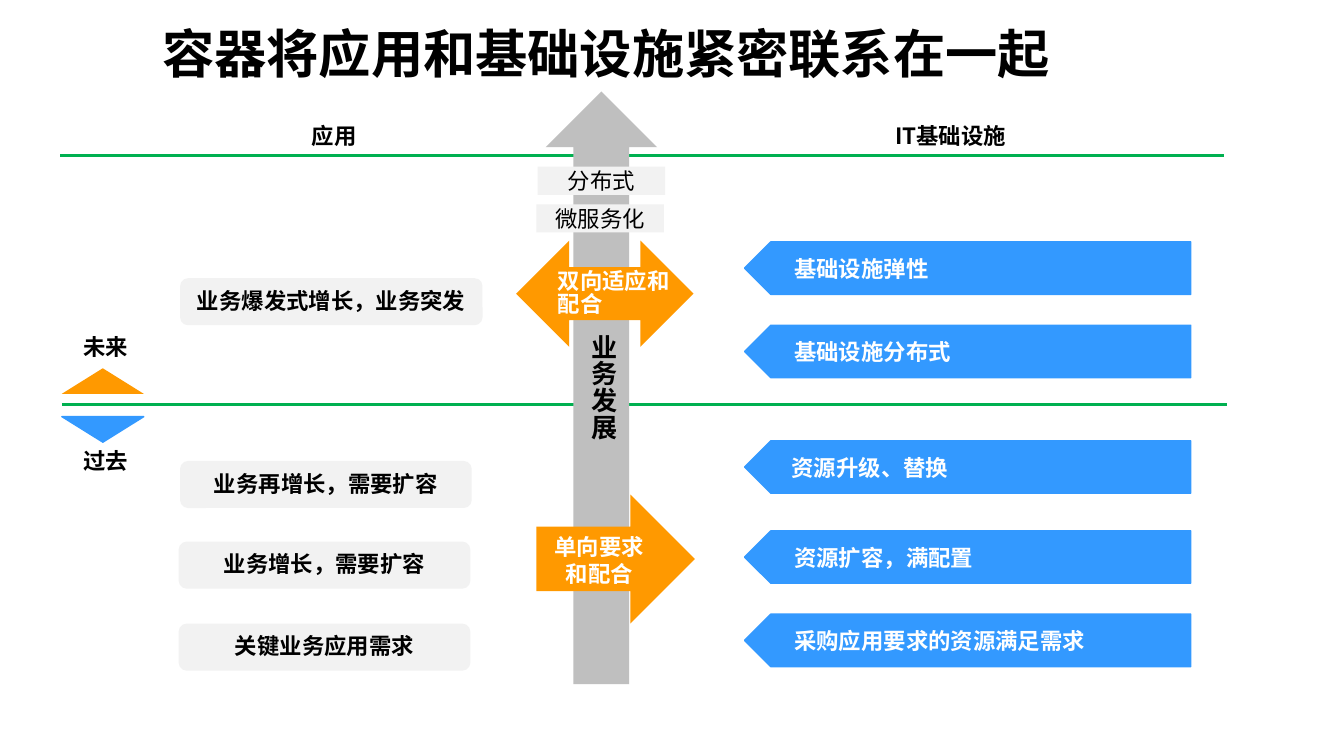
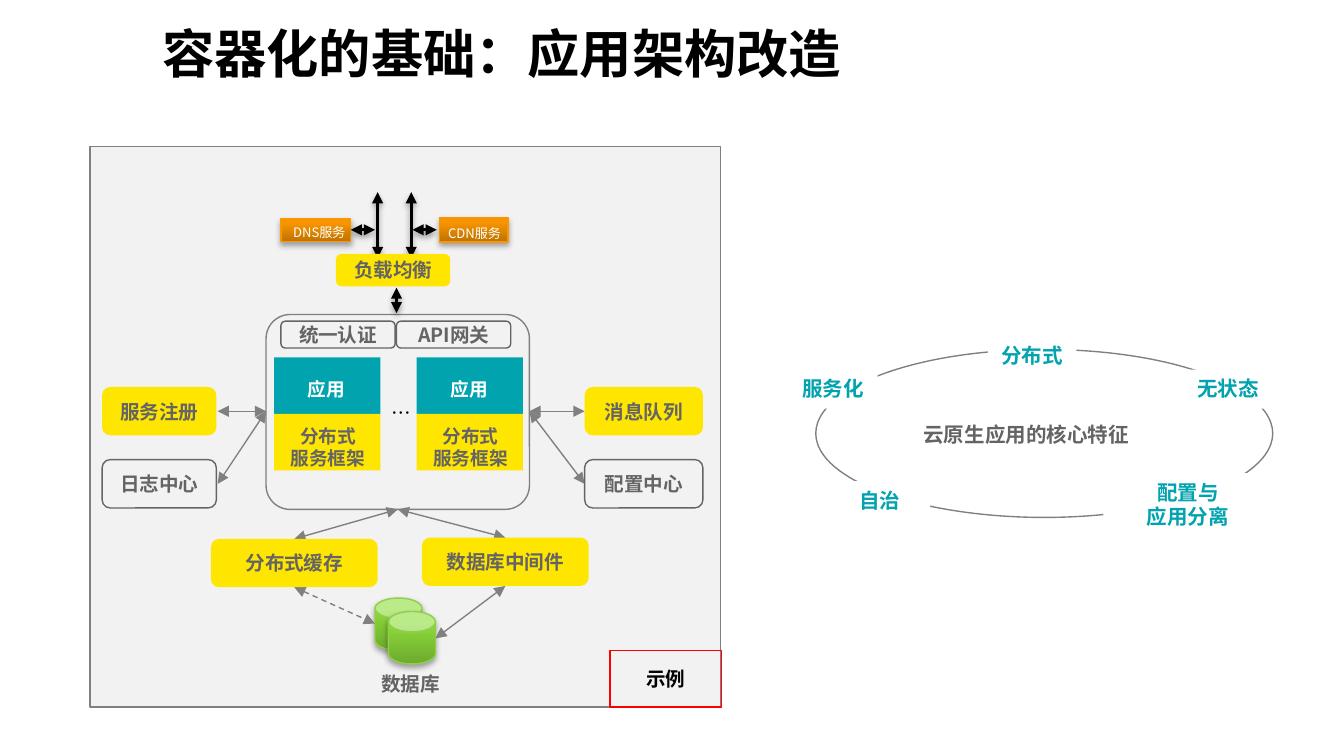
import pptx
import pptx.util
import pptx.dml.color
import pptx.enum.dml
import pptx.enum.shapes
import pptx.enum.text
import pptx.oxml.ns
import lxml.etree

Inches = pptx.util.Inches
Pt = pptx.util.Pt
RGBColor = pptx.dml.color.RGBColor
SHAPE = pptx.enum.shapes.MSO_SHAPE
ALIGN = pptx.enum.text.PP_ALIGN
ANCHOR = pptx.enum.text.MSO_ANCHOR
qn = pptx.oxml.ns.qn

FONT = "Noto Sans CJK SC"
BLACK = RGBColor(0x00, 0x00, 0x00)
WHITE = RGBColor(0xFF, 0xFF, 0xFF)
PALE = RGBColor(0xF2, 0xF2, 0xF2)
SILVER = RGBColor(0xBF, 0xBF, 0xBF)
GRAY = RGBColor(0x80, 0x80, 0x80)
SLATE = RGBColor(0x64, 0x64, 0x64)
GREEN = RGBColor(0x00, 0xB0, 0x50)
ORANGE = RGBColor(0xFF, 0x99, 0x00)
BLUE = RGBColor(0x33, 0x99, 0xFF)
YELLOW = RGBColor(0xFF, 0xE6, 0x00)
TEAL = RGBColor(0x00, 0xA3, 0xAE)
RED = RGBColor(0xFF, 0x00, 0x00)
LIME_EDGE = RGBColor(0x8F, 0xCF, 0x4B)
LIME_RAMP = (RGBColor(0x6D, 0xAA, 0x2D), RGBColor(0x8E, 0xDC, 0x3B))
AMBER_EDGE = RGBColor(0xF9, 0x96, 0x00)
AMBER_RAMP = (RGBColor(0xBE, 0x72, 0x00), RGBColor(0xF7, 0x94, 0x00))


def add_box(slide, at, text="", kind=None, fill=None, ramp=None, line=None, adj=None,
            turn=0, size=12, color=BLACK, bold=True, align=ALIGN.CENTER,
            anchor=ANCHOR.TOP, wrap=True, tight=False):
    """Add a preset shape, or a text box when kind is None; tight means label spacing."""
    place = [Inches(length) for length in at]
    if kind is None:
        box = slide.shapes.add_textbox(*place)
    else:
        box = slide.shapes.add_shape(kind, *place)
        box.shadow.inherit = False
        box.rotation = turn
        if adj is not None:
            box.adjustments[0] = adj
        if ramp:
            box.fill.gradient()
            box.fill.gradient_angle = 90
            for stop, shade, position in zip(box.fill.gradient_stops, ramp, (0, 0.8)):
                stop.color.rgb = shade
                stop.position = position
        elif fill is not None:
            box.fill.solid()
            box.fill.fore_color.rgb = fill
        else:
            box.fill.background()
        if line is not None:
            box.line.color.rgb = line
            box.line.width = Pt(0.75)
        else:
            box.line.fill.background()
    if not text:
        return box

    frame = box.text_frame
    frame.word_wrap = wrap
    frame.vertical_anchor = anchor
    if tight:
        frame.margin_left = frame.margin_right = frame.margin_bottom = 0
        frame.margin_top = Inches(0.04)
    for number, words in enumerate(text.split("\n")):
        paragraph = frame.add_paragraph() if number else frame.paragraphs[0]
        paragraph.alignment = align
        if tight:
            paragraph.line_spacing = 0.85
            paragraph.space_after = Pt(6)
        run = paragraph.add_run()
        run.text = words
        run.font.name = FONT
        run.font.size = Pt(size)
        run.font.bold = bold
        run.font.color.rgb = color
        lxml.etree.SubElement(run.font._element, qn("a:ea"), typeface=FONT)
    return box


def add_line(slide, start, end, color=GRAY, width=0.75, arrows=True, dashed=False):
    """Add a straight line, by default with an arrowhead at both ends."""
    straight = pptx.enum.shapes.MSO_CONNECTOR.STRAIGHT
    connector = slide.shapes.add_connector(
        straight, *[Inches(length) for length in start + end])
    connector.line.color.rgb = color
    connector.line.width = Pt(width)
    if dashed:
        connector.line.dash_style = pptx.enum.dml.MSO_LINE.DASH
    if arrows:
        outline = connector.element.spPr.find(qn("a:ln"))
        for tag in ("a:headEnd", "a:tailEnd"):
            lxml.etree.SubElement(outline, qn(tag), type="triangle")
    lxml.etree.SubElement(connector.element.spPr, qn("a:effectLst"))
    return connector


# Widescreen deck, 16:9
deck = pptx.Presentation()
deck.slide_width = Inches(10)
deck.slide_height = Inches(10) * 9 // 16
growth, architecture = [deck.slides.add_slide(deck.slide_layouts[6]) for _ in range(2)]

# Titles
for slide, title in ((growth, "容器将应用和基础设施紧密联系在一起"),
                     (architecture, "容器化的基础：应用架构改造")):
    add_box(slide, (1.11, 0.15, 7.58, 0.48), title, size=28,
            align=ALIGN.LEFT, anchor=ANCHOR.MIDDLE)

# ---- Slide 1: applications and infrastructure over time ----
add_line(growth, (0.45, 1.16), (9.11, 1.16), GREEN, 1.5, arrows=False)
add_line(growth, (0.46, 3.01), (9.13, 3.01), GREEN, 1.5, arrows=False)
add_box(growth, (2.27, 2.47, 4.41, 0.83), kind=SHAPE.RIGHT_ARROW, fill=SILVER, turn=270)
add_box(growth, (4.4, 2.46, 0.15, 0.84), "业务发展", size=14, align=ALIGN.LEFT, tight=True)

# Column headings
for left, width, heading in ((2.32, 0.46, "应用"), (6.66, 1.04, "IT基础设施")):
    add_box(growth, (left, 0.9, width, 0.21), heading, align=ALIGN.LEFT, tight=True)

# Future and past markers
add_box(growth, (0.46, 2.74, 0.61, 0.19), kind=SHAPE.ISOSCELES_TRIANGLE, fill=ORANGE)
add_box(growth, (0.46, 3.1, 0.61, 0.19), kind=SHAPE.ISOSCELES_TRIANGLE, fill=BLUE,
        line=BLUE, turn=180)
for top, era in ((2.47, "未来"), (3.32, "过去")):
    add_box(growth, (0.57, top, 0.43, 0.21), era, tight=True)

# Application demands
for left, top, width, demand in ((1.34, 2.07, 2.25, "业务爆发式增长，业务突发"),
                                 (1.34, 3.43, 2.17, "业务再增长，需要扩容"),
                                 (1.33, 4.03, 2.17, "业务增长，需要扩容"),
                                 (1.33, 4.64, 2.17, "关键业务应用需求")):
    add_box(growth, (left, top, width, 0.35), demand, kind=SHAPE.ROUNDED_RECTANGLE, fill=PALE)

# Infrastructure answers
for top, left, answer in ((1.8, 5.91, "基础设施弹性"),
                          (2.42, 5.91, "基础设施分布式"),
                          (3.28, 5.89, "资源升级、替换"),
                          (3.95, 5.91, "资源扩容，满配置"),
                          (4.57, 5.91, "采购应用要求的资源满足需求")):
    add_box(growth, (5.54, top, 3.32, 0.39), kind=SHAPE.PENTAGON, fill=BLUE, line=BLUE, turn=180)
    add_box(growth, (left, top + 0.09, 2.46, 0.21), answer, kind=SHAPE.RECTANGLE, fill=BLUE,
            color=WHITE, align=ALIGN.LEFT, tight=True)

# Links across the growth arrow
add_box(growth, (3.99, 3.68, 1.18, 0.96), "单向要求和配合", kind=SHAPE.RIGHT_ARROW,
        fill=ORANGE, color=WHITE)
add_box(growth, (3.84, 1.79, 1.32, 0.79), kind=SHAPE.LEFT_RIGHT_ARROW, fill=ORANGE)
add_box(growth, (4.15, 1.98, 0.89, 0.38), "双向适应和配合", color=WHITE,
        align=ALIGN.LEFT, tight=True)
for left, top, trend in ((4, 1.24, "分布式"), (3.99, 1.52, "微服务化")):
    add_box(growth, (left, top, 0.95, 0.21), trend, kind=SHAPE.RECTANGLE, fill=PALE,
            bold=False, anchor=ANCHOR.MIDDLE)

# ---- Slide 2: application architecture ----
shadowed = []
add_box(architecture, (0.67, 1.09, 4.69, 4.17), kind=SHAPE.RECTANGLE, fill=PALE, line=GRAY)

# Databases
for left, top in ((2.79, 4.45), (2.89, 4.55)):
    shadowed.append(add_box(architecture, (left, top, 0.35, 0.39), kind=SHAPE.CAN,
                            ramp=LIME_RAMP, line=LIME_EDGE, adj=0.433))
add_box(architecture, (2.77, 4.99, 0.57, 0.2), "数据库", size=10.5, color=SLATE, tight=True)

# Application cluster
add_box(architecture, (1.98, 2.34, 1.96, 1.45), kind=SHAPE.ROUNDED_RECTANGLE,
        line=GRAY, adj=0.123)
add_box(architecture, (2.91, 2.97, 0.12, 0.2), "…", size=10.5, bold=False,
        align=ALIGN.LEFT, tight=True)
for left in (2.04, 3.1):
    add_box(architecture, (left, 2.66, 0.79, 0.42), kind=SHAPE.ROUNDED_RECTANGLE,
            fill=TEAL, adj=0)
    add_box(architecture, (left + 0.14, 2.76, 0.5, 0.28), "应用", size=10, color=WHITE,
            wrap=False)
    add_box(architecture, (left, 3.08, 0.79, 0.42), kind=SHAPE.RECTANGLE, fill=YELLOW)
    add_box(architecture, (left + 0.01, 3.11, 0.78, 0.44), "分布式\n服务框架", size=10,
            color=SLATE)

# Links between services
cluster_left, cluster_right, cluster_bottom = (1.98, 3.06), (3.94, 3.06), (2.96, 3.79)
for start, end in (((3.76, 4.36), (3.24, 4.75)),
                   ((2.19, 4.01), cluster_bottom),
                   ((3.76, 4), cluster_bottom),
                   ((1.62, 3.06), cluster_left),
                   (cluster_left, (1.62, 3.6)),
                   (cluster_right, (4.35, 3.06)),
                   (cluster_right, (4.35, 3.6))):
    add_line(architecture, start, end)
add_line(architecture, (2.19, 4.37), (2.79, 4.64), dashed=True)

# Name services and incoming traffic
for at, label_at, service in (
        ((2.09, 1.63, 0.52, 0.17), (2.07, 1.62, 0.61, 0.22), "DNS服务"),
        ((3.27, 1.62, 0.51, 0.18), (3.22, 1.63, 0.62, 0.22), "CDN服务")):
    shadowed.append(add_box(architecture, at, kind=SHAPE.RECTANGLE, ramp=AMBER_RAMP,
                            line=AMBER_EDGE))
    add_box(architecture, label_at, service, size=7, color=WHITE, bold=False, wrap=False)
for start, end in (((2.95, 2.14), (2.95, 2.33)),
                   ((2.61, 1.71), (2.79, 1.71)),
                   ((3.07, 1.71), (3.25, 1.71)),
                   ((2.81, 1.43), (2.81, 1.92)),
                   ((3.06, 1.43), (3.06, 1.92))):
    shadowed.append(add_line(architecture, start, end, BLACK, 1.75))

# Services: yellow ones are filled, the others outlined
for at, service, fill in (((4.35, 2.88, 0.88, 0.36), "消息队列", YELLOW),
                          ((0.76, 2.88, 0.85, 0.36), "服务注册", YELLOW),
                          ((1.57, 4.01, 1.24, 0.36), "分布式缓存", YELLOW),
                          ((3.14, 4, 1.24, 0.36), "数据库中间件", YELLOW),
                          ((2.5, 1.89, 0.85, 0.24), "负载均衡", YELLOW),
                          ((4.35, 3.42, 0.88, 0.36), "配置中心", None),
                          ((0.76, 3.42, 0.85, 0.36), "日志中心", None),
                          ((2.09, 2.39, 0.85, 0.2), "统一认证", None),
                          ((2.95, 2.39, 0.85, 0.2), "API网关", None)):
    add_box(architecture, at, service, kind=SHAPE.ROUNDED_RECTANGLE, fill=fill,
            line=None if fill else SLATE, size=10.5, color=SLATE, anchor=ANCHOR.MIDDLE)
add_box(architecture, (4.54, 4.84, 0.83, 0.42), "示例", kind=SHAPE.RECTANGLE, line=RED,
        size=10.5, anchor=ANCHOR.MIDDLE)

# Ring of cloud-native traits
add_box(architecture, (6.07, 2.6, 3.4, 1.25), kind=SHAPE.OVAL, line=GRAY)
for at, trait, align, wrap in (
        ((8.81, 2.75, 0.66, 0.29), "无状态", ALIGN.LEFT, False),
        ((7.35, 2.5, 0.66, 0.29), "分布式", ALIGN.LEFT, False),
        ((8.21, 3.52, 1.26, 0.47), "配置与\n应用分离", ALIGN.CENTER, True),
        ((5.87, 2.75, 0.66, 0.29), "服务化", ALIGN.LEFT, False),
        ((6.17, 3.58, 0.75, 0.29), "自治", ALIGN.CENTER, True)):
    add_box(architecture, at, trait, kind=SHAPE.RECTANGLE, fill=WHITE, size=11,
            color=TEAL, align=align, wrap=wrap)
add_box(architecture, (6.87, 3.13, 1.91, 0.2), "云原生应用的核心特征", size=11,
        color=SLATE, align=ALIGN.LEFT, tight=True)

# Soft shadows below databases, name services and traffic arrows
for part in shadowed:
    effects = part.element.spPr.find(qn("a:effectLst"))
    shadow = lxml.etree.SubElement(effects, qn("a:outerShdw"), blurRad=str(Pt(3.1)),
                                   dist=str(Pt(1.8)), dir="5400000", rotWithShape="0")
    shade = lxml.etree.SubElement(shadow, qn("a:srgbClr"), val=str(BLACK))
    lxml.etree.SubElement(shade, qn("a:alpha"), val="35000")

deck.save("out.pptx")
